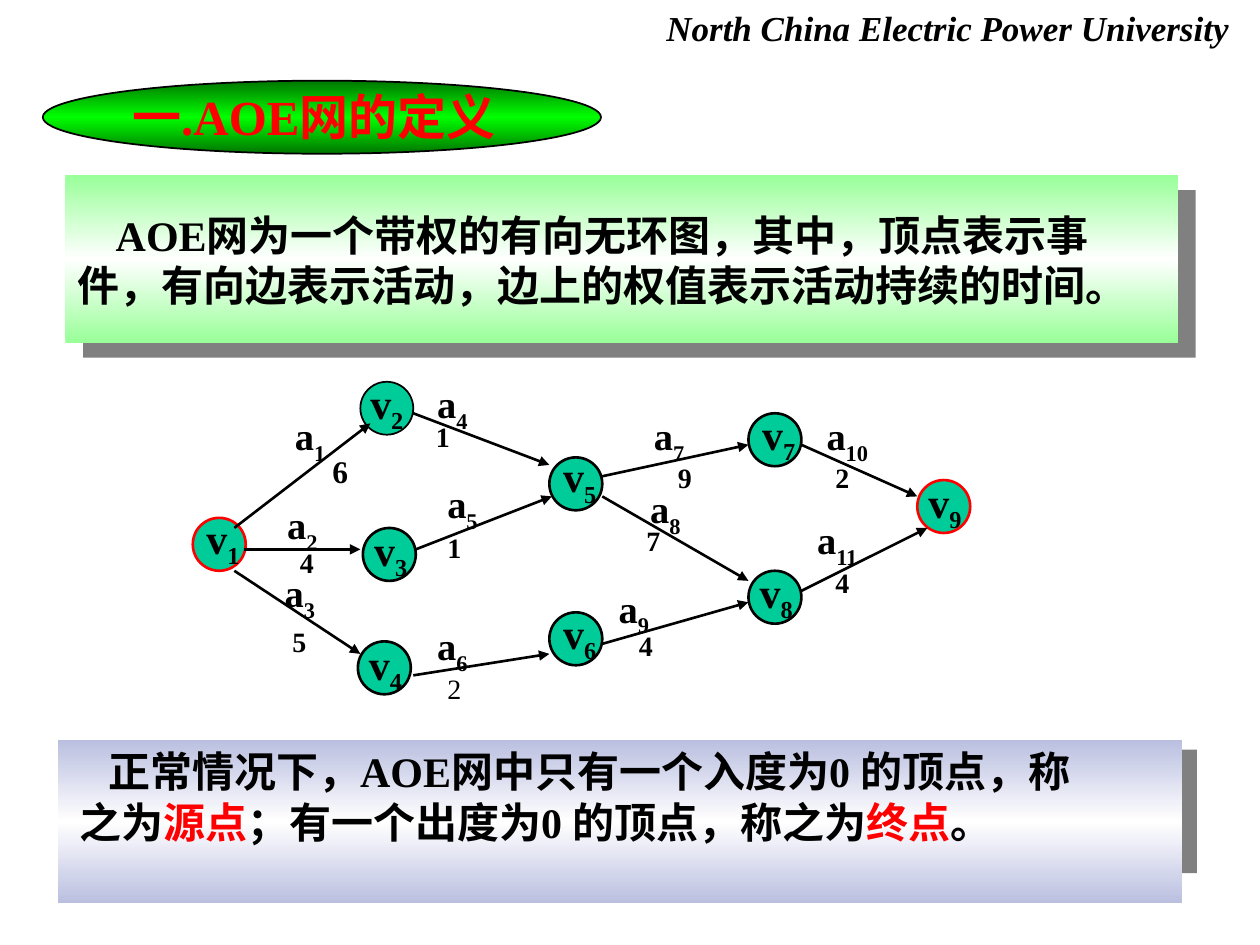
import itertools

import pptx
import pptx.dml.color
import pptx.enum.shapes
import pptx.enum.text
import pptx.oxml.ns
import pptx.oxml.xmlchemy
import pptx.util
from lxml import etree

THEME = {
    "latin": "Times New Roman", "cjk": "Noto Sans CJK SC",
    "ink": "000000", "accent": "FF0000", "node": "00CC99", "shade": "808080",
    "title_fill": ("007600", "00FF00"), "green": ("99FF99", "FFFFFF"),
    "blue": ("BABFE0", "FFFFFF"),
    "header": 20, "title": 28, "body": 24, "activity": 22, "weight": 16,
}
COLS, ROWS = 100, 75
WIDTH, HEIGHT = pptx.util.Inches(10), pptx.util.Inches(7.5)

# Boxes are column, row, columns wide, rows high
HEADER = "North China Electric Power University"
TITLE = "一.AOE网的定义"
DEFINITION = ["AOE网为一个带权的有向无环图，其中，顶点表示事",
              "件，有向边表示活动，边上的权值表示活动持续的时间。"]
ENDPOINTS = [
    [("正常情况下，AOE网中只有一个入度为0 的顶点，称", {})],
    [("之为", {}), ("源点", {"color": "accent"}), ("；有一个出度为0 的顶点，称之为", {}),
     ("终点", {"color": "accent"}), ("。", {})],
]
NODE = 4.2
# Number, circle column and row, label column and row, outline colour, outline width
VERTICES = [
    (1, (15.3, 41.1), (15.4, 40.2), "accent", 1.5),
    (4, (28.4, 50.9), (28.3, 50.2), "ink", 1.5),
    (2, (28.6, 30.3), (28.4, 29.5), "ink", 1),
    (3, (28.8, 41.9), (28.7, 41.1), "ink", 1.5),
    (5, (43.6, 36.3), (43.7, 35.3), "ink", 1.5),
    (7, (59.4, 32.8), (59.5, 31.9), "ink", 1.5),
    (9, (72.8, 38.1), (72.7, 37.3), "accent", 1.5),
    (8, (59.4, 45.3), (59.3, 44.5), "ink", 1.5),
    (6, (43.6, 48.6), (43.7, 47.7), "ink", 1.5),
]
# Start, end, activity label place, weight, weight place, weight format; a1 to a11
ACTIVITIES = [
    ((18.6, 41.9), (29.4, 33.6), (22.4, 32.2), 6, (25.4, 35.4), {"size": 18}),
    ((19.4, 43.6), (28.6, 43.6), (21.8, 39.3), 4, (22.8, 42.8), {}),
    ((18.6, 45.3), (28.6, 51.9), (21.6, 44.7), 5, (22.2, 49.1), {}),
    ((32.8, 32.8), (43.6, 36.9), (33.7, 29.7), 1, (33.6, 32.8), {}),
    ((33.0, 43.6), (43.8, 39.4), (34.5, 37.6), 1, (34.5, 41.6), {}),
    ((32.8, 53.6), (43.6, 51.9), (33.7, 48.9), 2, (34.5, 52.8), {"bold": False}),
    ((47.8, 37.8), (59.4, 35.3), (50.9, 32.2), 9, (52.8, 36.1), {}),
    ((47.8, 39.4), (59.4, 46.1), (50.6, 38.0), 7, (50.3, 41.1), {}),
    ((47.8, 51.1), (59.4, 47.8), (48.1, 45.9), 4, (49.7, 49.4), {}),
    ((63.6, 35.3), (72.8, 39.4), (64.6, 32.2), 2, (65.3, 36.1), {}),
    ((63.6, 46.9), (73.6, 41.9), (63.8, 40.5), 4, (65.3, 44.4), {}),
]

SHAPES = pptx.enum.shapes.MSO_SHAPE
LEFT, CENTER = pptx.enum.text.PP_ALIGN.LEFT, pptx.enum.text.PP_ALIGN.CENTER
qn = pptx.oxml.ns.qn


def x(col):
    return round(WIDTH * col / COLS)


def y(row):
    return round(HEIGHT * row / ROWS)


def place(box):
    col, row, wide, high = box
    return x(col), y(row), x(wide), y(high)


def rgb(name):
    return pptx.dml.color.RGBColor.from_string(THEME.get(name, name))


def write(sp, paragraphs, size, color="ink", align=LEFT, bold=True, italic=False,
          wrap=False, indents=None):
    """Fill a shape with paragraphs of (text, format) parts, one run per script."""
    tf = sp.text_frame
    tf.word_wrap = wrap
    tf.vertical_anchor = pptx.enum.text.MSO_ANCHOR.TOP
    for i, parts in enumerate(paragraphs):
        p = tf.paragraphs[0] if i == 0 else tf.add_paragraph()
        p.alignment = align
        if indents:
            margin, first = indents[i]
            p._p.get_or_add_pPr().set("marL", str(x(margin)))
            p._p.get_or_add_pPr().set("indent", str(x(first)))
        for text, style in parts:
            for is_cjk, chars in itertools.groupby(text, lambda c: ord(c) > 0x2E00):
                r = p.add_run()
                r.text = "".join(chars)
                r.font.size = pptx.util.Pt(size)
                r.font.bold, r.font.italic = bold, italic
                r.font.color.rgb = rgb(style.get("color", color))
                r.font.name = THEME["cjk" if is_cjk else "latin"]
                rPr = r._r.get_or_add_rPr()
                etree.SubElement(rPr, qn("a:ea")).set("typeface", THEME["cjk"])
                if "baseline" in style:
                    rPr.set("baseline", str(style["baseline"] * 1000))


def add_text(shapes, box, paragraphs, size, **style):
    sp = shapes.add_textbox(*place(box))
    write(sp, paragraphs, size, **style)
    return sp


def add_shape(shapes, kind, box, fill, line=None, width=1):
    """Add a preset shape; a pair of colours as fill runs edge, middle, edge."""
    sp = shapes.add_shape(kind, *place(box))
    sp.shadow.inherit = False
    if isinstance(THEME[fill], tuple):
        edge, middle = THEME[fill]
        sp.fill.gradient()
        sp.fill.gradient_angle = 270
        stops = sp._element.spPr.find(qn("a:gradFill")).find(qn("a:gsLst"))
        for stop in list(stops):
            stops.remove(stop)
        for pos, color in ((0, edge), (50, middle), (100, edge)):
            gs = etree.SubElement(stops, qn("a:gs"), pos=str(pos * 1000))
            etree.SubElement(gs, qn("a:srgbClr"), val=color)
    else:
        sp.fill.solid()
        sp.fill.fore_color.rgb = rgb(fill)
    if line:
        sp.line.color.rgb = rgb(line)
        sp.line.width = pptx.util.Pt(width)
    else:
        sp.line.fill.background()
    return sp


def add_arrow(shapes, start, end):
    straight = pptx.enum.shapes.MSO_CONNECTOR.STRAIGHT
    sp = shapes.add_connector(straight, x(start[0]), y(start[1]), x(end[0]), y(end[1]))
    sp.line.color.rgb = rgb("ink")
    sp.line.width = pptx.util.Pt(1.5)
    etree.SubElement(sp.line._get_or_add_ln(), qn("a:tailEnd"), type="triangle")
    etree.SubElement(sp._element.spPr, qn("a:effectLst"))


def add_symbol(shapes, box, letter, number, size, baseline):
    parts = [(letter, {}), (str(number), {"baseline": baseline})]
    add_text(shapes, box, [parts], size, align=CENTER)


def main():
    prs = pptx.Presentation()
    prs.slide_width, prs.slide_height = WIDTH, HEIGHT
    shapes = prs.slides.add_slide(prs.slide_layouts[6]).shapes

    add_text(shapes, (51.9, 0, 46.7, 4.4), [[(HEADER, {})]], THEME["header"], italic=True)
    shapes.add_group_shape([
        add_shape(shapes, SHAPES.OVAL, (3.4, 6.4, 44.3, 5.8), "title_fill", "ink"),
        add_text(shapes, (7.9, 6.4, 34, 5.7), [[(TITLE, {})]], THEME["title"],
                 color="accent", align=CENTER),
    ])
    shapes.add_group_shape([
        add_shape(shapes, SHAPES.RECTANGLE, (6.6, 15.1, 88.3, 13.3), "shade"),
        add_shape(shapes, SHAPES.RECTANGLE, (5.2, 13.9, 88.3, 13.3), "green"),
        add_text(shapes, (5.2, 16.1, 88, 9), [[(line, {})] for line in DEFINITION],
                 THEME["body"], wrap=True, indents=[(0, 3), (0, 0)]),
    ])

    for number, circle, label, line, width in VERTICES:
        add_shape(shapes, SHAPES.OVAL, (*circle, NODE, NODE), "node", line, width)
        add_symbol(shapes, (*label, 4.6, 5.5), "v", number, THEME["body"], -24)

    for number, activity in enumerate(ACTIVITIES, 1):
        start, end, label, weight, weight_at, style = activity
        add_arrow(shapes, start, end)
        wide = 4.4 if number < 10 else 5.3
        add_symbol(shapes, (*label, wide, 5.3), "a", number, THEME["activity"], -28)
        add_text(shapes, (*weight_at, 3.1, 3.7), [[(str(weight), {})]],
                 **{"size": THEME["weight"], "align": CENTER, **style})

    add_shape(shapes, SHAPES.RECTANGLE, (5.8, 59.5, 89.2, 9.8), "shade")
    panel = add_shape(shapes, SHAPES.RECTANGLE, (4.6, 58.7, 89.2, 13), "blue")
    write(panel, ENDPOINTS, THEME["body"], wrap=True, indents=[(0, 3), (0.7, 0)])
    prs.save("out.pptx")


if __name__ == "__main__":
    main()
